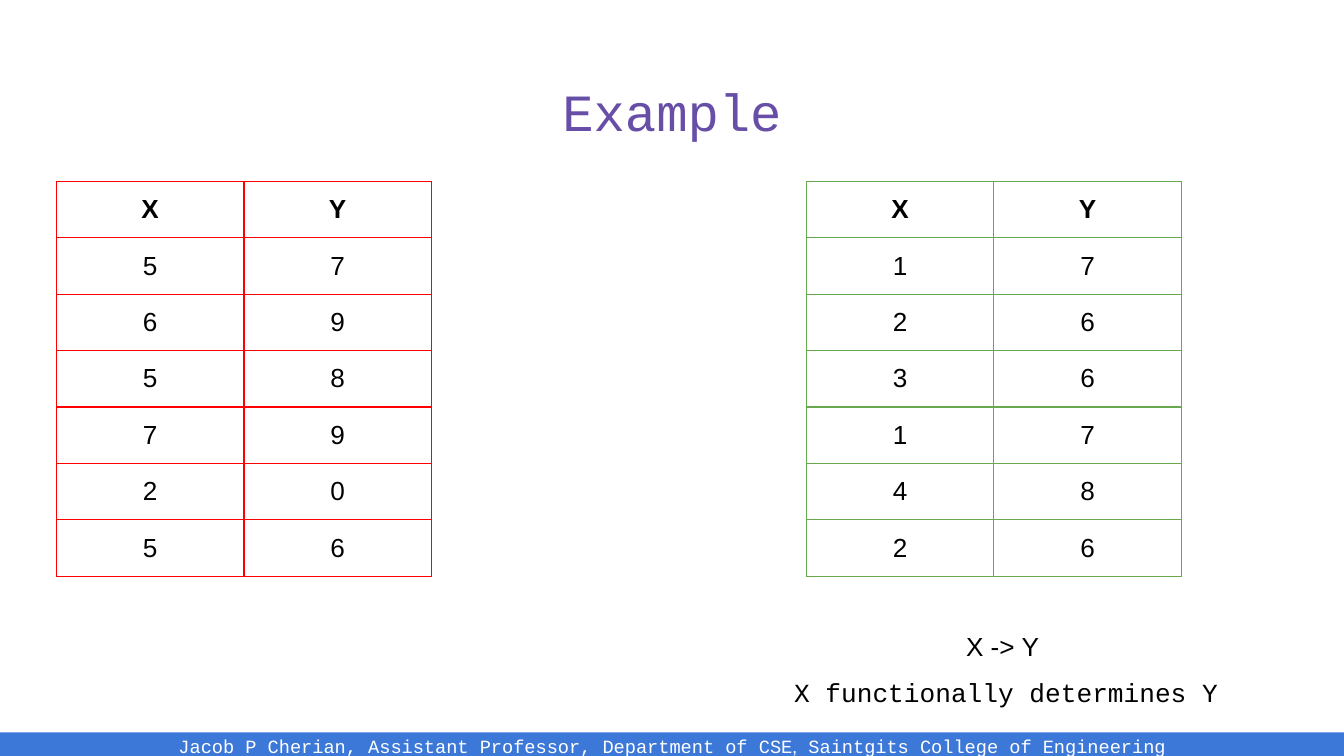
from lxml.etree import SubElement
from pptx import Presentation
from pptx.dml.color import RGBColor
from pptx.enum.shapes import MSO_SHAPE as Shape
from pptx.enum.text import MSO_ANCHOR as Anchor, PP_ALIGN as Align
from pptx.oxml.ns import qn
from pptx.util import Inches, Pt

BLACK = RGBColor(0x00, 0x00, 0x00)
WHITE = RGBColor(0xFF, 0xFF, 0xFF)
BLUE = RGBColor(0x3C, 0x78, 0xD8)
PURPLE = RGBColor(0x67, 0x4E, 0xA7)
RED = RGBColor(0xFF, 0x00, 0x00)
GREEN = RGBColor(0x6A, 0xA8, 0x4F)
MONO = "Courier New"
SANS = "Arial"


def write(frame, *parts, size=14, color=BLACK, bold=False, align=Align.CENTER, anchor=Anchor.TOP):
    frame.word_wrap = True
    frame.vertical_anchor = anchor
    frame.margin_left = frame.margin_right = Inches(0.1)
    frame.margin_top = frame.margin_bottom = Inches(0.1)
    para = frame.paragraphs[0]
    para.alignment = align
    for text, font in parts:
        span = para.add_run()
        span.text = text
        span.font.name = font
        span.font.size = Pt(size)
        span.font.bold = bold
        span.font.color.rgb = color


def add_borders(cell, color):
    properties = cell._tc.get_or_add_tcPr()
    for side in ("lnL", "lnR", "lnT", "lnB"):
        line = SubElement(properties, qn(f"a:{side}"), w=str(Pt(0.75)))
        fill = SubElement(line, qn("a:solidFill"))
        SubElement(fill, qn("a:srgbClr"), val=str(color))


deck = Presentation()
deck.slide_width = Inches(10)
deck.slide_height = Inches(10 * 9 / 16)
page = deck.slides.add_slide(deck.slide_layouts[5])

footer = page.shapes.add_shape(Shape.RECTANGLE, Inches(0), Inches(5.45), Inches(10), Inches(0.2))
footer.shadow.inherit = False
footer.fill.solid()
footer.fill.fore_color.rgb = BLUE
footer.line.fill.background()
write(
    footer.text_frame,
    ("Jacob P Cherian, Assistant Professor, Department of CSE", MONO),
    (",", SANS),
    (" Saintgits College of Engineering", MONO),
    size=10, color=WHITE, anchor=Anchor.MIDDLE,
)

title = page.shapes.title
title.left, title.top = Inches(0.34), Inches(0.49)
title.width, title.height = Inches(9.32), Inches(0.63)
write(title.text_frame, ("Example", MONO), size=28, color=PURPLE)

relations = [
    (0.42, RED, ["XY", "57", "69", "58", "79", "20", "56"]),
    (6.0, GREEN, ["XY", "17", "26", "36", "17", "48", "26"]),
]
for left, color, rows in relations:
    frame = page.shapes.add_table(
        len(rows), 2, Inches(left), Inches(1.35), Inches(2.79), Inches(0.42 * len(rows))
    )
    table = frame.table
    for r, values in enumerate(rows):
        for c, value in enumerate(values):
            cell = table.cell(r, c)
            add_borders(cell, color)
            cell.fill.background()
            cell.margin_left = cell.margin_right = Inches(0.1)
            cell.margin_top = cell.margin_bottom = Inches(0.1)
            write(cell.text_frame, (value, SANS), bold=r == 0)

captions = [
    (6.21, 4.59, 2.5, "X -> Y", SANS, Align.CENTER),
    (5.81, 4.93, 3.61, "X functionally determines Y", MONO, Align.LEFT),
]
for left, top, width, text, font, align in captions:
    box = page.shapes.add_textbox(Inches(left), Inches(top), Inches(width), Inches(0.44))
    write(box.text_frame, (text, font), align=align)

deck.save("out.pptx")
